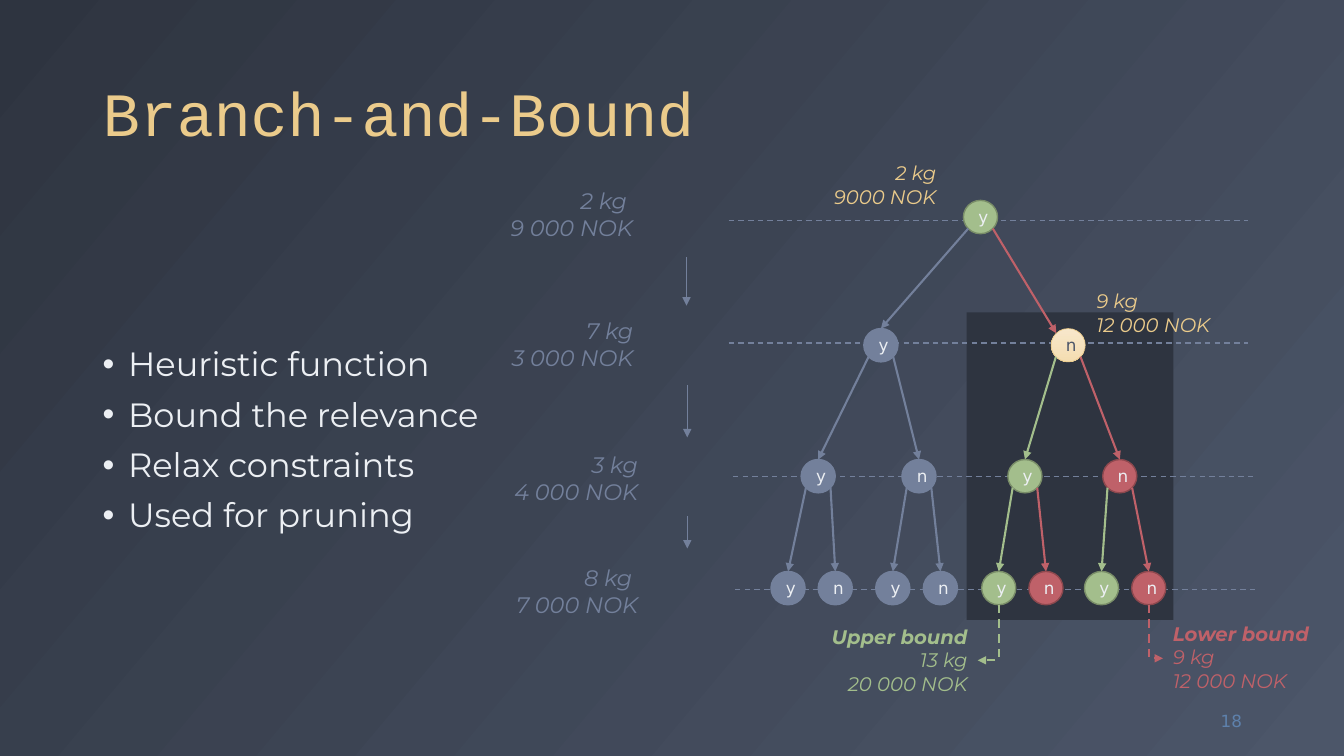
from dataclasses import dataclass

from lxml.etree import SubElement
from pptx import Presentation
from pptx.dml.color import RGBColor
from pptx.enum.dml import MSO_LINE_DASH_STYLE as Dash
from pptx.enum.shapes import MSO_CONNECTOR as Link, MSO_SHAPE as Shape
from pptx.enum.text import MSO_ANCHOR as Anchor, MSO_AUTO_SIZE as AutoSize, PP_ALIGN as Align
from pptx.oxml.ns import qn
from pptx.util import Cm, Pt


@dataclass(frozen=True)
class Theme:
    night: RGBColor = RGBColor.from_string("2E3440")
    dusk: RGBColor = RGBColor.from_string("4C5669")
    snow: RGBColor = RGBColor.from_string("ECEFF3")
    gold: RGBColor = RGBColor.from_string("EBCB8B")
    cream: RGBColor = RGBColor.from_string("F7E7CB")
    sand: RGBColor = RGBColor.from_string("F4DDB1")
    slate: RGBColor = RGBColor.from_string("73809B")
    green: RGBColor = RGBColor.from_string("A3BE8C")
    moss: RGBColor = RGBColor.from_string("798D68")
    red: RGBColor = RGBColor.from_string("BF6169")
    wine: RGBColor = RGBColor.from_string("8D484E")
    blue: RGBColor = RGBColor.from_string("5E81AC")
    title_size: Pt = Pt(44)
    bullet_size: Pt = Pt(24)
    item_size: Pt = Pt(16)
    bound_size: Pt = Pt(14)
    small_size: Pt = Pt(12)
    title_font: str = "Courier New"
    text_font: str = "Montserrat"
    node_font: str = "DejaVu Sans"


theme = Theme()


def write(frame, lines, size, color, font=theme.text_font, align=Align.LEFT, italic=False):
    frame.text = "\n".join(lines)
    for paragraph in frame.paragraphs:
        paragraph.alignment = align
        paragraph.font.size = size
        paragraph.font.name = font
        paragraph.font.italic = italic
        paragraph.font.color.rgb = color


def style_line(connector, color, width, dashed=False, arrow=False):
    connector.line.color.rgb = color
    connector.line.width = Pt(width)
    if dashed:
        connector.line.dash_style = Dash.DASH
    if arrow:
        SubElement(connector.line._get_or_add_ln(), qn("a:tailEnd"), type="triangle")
    SubElement(connector._element.spPr, qn("a:effectLst"))


deck = Presentation()
deck.slide_width, deck.slide_height = Cm(33.87), Cm(19.05)
slide = deck.slides.add_slide(deck.slide_layouts[5])
shapes = slide.shapes

backdrop = slide.background.fill
backdrop.gradient()
backdrop.gradient_angle = 320
for stop, color in zip(backdrop.gradient_stops, (theme.night, theme.dusk)):
    stop.color.rgb = color

title = shapes.title
title.left, title.top, title.width, title.height = Cm(2.34), Cm(0.46), Cm(29.21), Cm(3.45)
write(title.text_frame, ["Branch-and-Bound"], theme.title_size, theme.gold, theme.title_font)
title.text_frame.auto_size = AutoSize.NONE
title.text_frame.vertical_anchor = Anchor.BOTTOM
title.text_frame.paragraphs[0].line_spacing = 0.9

# Subtree that is being bounded
subtree = shapes.add_shape(Shape.RECTANGLE, Cm(24.36), Cm(7.87), Cm(5.21), Cm(7.75))
subtree.shadow.inherit = False
subtree.fill.solid()
subtree.fill.fore_color.rgb = theme.night
subtree.line.fill.background()

# Key points
points = shapes.add_textbox(Cm(2.34), Cm(5.08), Cm(10.69), Cm(12.09)).text_frame
points.word_wrap = True
points.vertical_anchor = Anchor.MIDDLE
point_lines = ["Heuristic function", "Bound the relevance", "Relax constraints", "Used for pruning"]
points.text = "\n".join(point_lines)
for paragraph in points.paragraphs:
    properties = paragraph._p.get_or_add_pPr()
    properties.set("marL", str(Cm(0.64)))
    properties.set("indent", str(-Cm(0.64)))
    SubElement(properties, qn("a:buFont"), typeface="Arial")
    SubElement(properties, qn("a:buChar"), char="•")
    paragraph.line_spacing = 0.9
    paragraph.font.size = theme.bullet_size
    paragraph.font.name = theme.text_font
    paragraph.font.color.rgb = theme.snow
for paragraph in points.paragraphs[1:]:
    paragraph.space_before = Pt(10)

page_number = shapes.add_textbox(Cm(29.44), Cm(17.65), Cm(2.11), Cm(1.02)).text_frame
page_number.vertical_anchor = Anchor.MIDDLE
write(page_number, ["18"], theme.small_size, theme.blue, theme.node_font, Align.RIGHT)

# Dashed line behind each tree level
for left, y in ((18.36, 5.56), (18.36, 8.64), (18.47, 12.01), (18.52, 14.86)):
    level_line = shapes.add_connector(Link.STRAIGHT, Cm(left), Cm(y), Cm(left + 13.1), Cm(y))
    style_line(level_line, theme.slate, 1, dashed=True)

# Tree nodes level by level: the children of node i are 2i + 1 (y) and 2i + 2 (n)
NODE_WIDTH, NODE_HEIGHT = 0.86, 0.84
outlines = {theme.slate: theme.slate, theme.green: theme.moss,
            theme.red: theme.wine, theme.cream: theme.gold}
levels = [
    (5.05, [(24.28, theme.green)]),
    (8.28, [(21.77, theme.slate), (26.49, theme.cream)]),
    (11.58, [(20.19, theme.slate), (22.73, theme.slate), (25.4, theme.green), (27.79, theme.red)]),
    (14.4, [(19.43, theme.slate), (20.62, theme.slate), (22.07, theme.slate), (23.27, theme.slate),
            (24.74, theme.green), (25.93, theme.red), (27.33, theme.green), (28.52, theme.red)]),
]
tree = [(left, top, color) for top, row in levels for left, color in row]
nodes = []
for index, (left, top, color) in enumerate(tree):
    node = shapes.add_shape(Shape.OVAL, Cm(left), Cm(top), Cm(NODE_WIDTH), Cm(NODE_HEIGHT))
    node.shadow.inherit = False
    is_bounded = color == theme.cream
    if is_bounded:
        node.fill.gradient()
        node.fill.gradient_angle = 270
        for stop, shade in zip(node.fill.gradient_stops, (theme.cream, theme.sand)):
            stop.color.rgb = shade
    else:
        node.fill.solid()
        node.fill.fore_color.rgb = color
    node.line.color.rgb = outlines[color]
    node.line.width = Pt(0.5 if is_bounded else 1)
    node.text_frame.vertical_anchor = Anchor.MIDDLE
    answer = "n" if index and index % 2 == 0 else "y"
    write(node.text_frame, [answer], theme.small_size,
          theme.dusk if is_bounded else theme.snow, theme.node_font, Align.CENTER)
    nodes.append(node)

for child in range(1, len(tree)):
    parent_left, parent_top, _ = tree[(child - 1) // 2]
    left, top, color = tree[child]
    start_x = parent_left + (0.12 if child % 2 else 0.74)
    edge = shapes.add_connector(Link.STRAIGHT, Cm(start_x), Cm(parent_top + 0.71),
                                Cm(left + 0.13), Cm(top + 0.12))
    if color == theme.cream:
        color = theme.red
    else:
        edge.end_connect(nodes[child], 0)
    style_line(edge, color, 1.5, arrow=True)

# Items in the order they are decided
for x, top, bottom in ((17.3, 6.48, 7.7), (17.32, 9.7, 11.02), (17.32, 13, 13.82)):
    step = shapes.add_connector(Link.STRAIGHT, Cm(x), Cm(top), Cm(x), Cm(bottom))
    style_line(step, theme.slate, 0.5, arrow=True)

labels = [
    (12.57, 4.6, 3.63, ["2 kg ", "9 000 NOK"], theme.item_size, theme.slate, Align.RIGHT),
    (12.6, 7.87, 3.61, ["7 kg", "3 000 NOK"], theme.item_size, theme.slate, Align.RIGHT),
    (12.65, 11.25, 3.68, ["3 kg", "4 000 NOK"], theme.item_size, theme.slate, Align.RIGHT),
    (12.7, 14.1, 3.63, ["8 kg ", "7 000 NOK"], theme.item_size, theme.slate, Align.RIGHT),
    (20.73, 3.94, 3.12, ["2 kg", "9000 NOK"], theme.bound_size, theme.gold, Align.RIGHT),
    (27.38, 7.16, 3.53, ["9 kg", "12 000 NOK"], theme.bound_size, theme.gold, Align.LEFT),
    (20.68, 15.62, 3.96, ["Upper bound", "13 kg", "20 000 NOK"],
     theme.bound_size, theme.green, Align.RIGHT),
    (29.31, 15.54, 3.99, ["Lower bound", "9 kg", "12 000 NOK"],
     theme.bound_size, theme.red, Align.LEFT),
]
for left, top, width, lines, size, color, align in labels:
    height = 2.06 if len(lines) == 3 else 1.63 if size == theme.item_size else 1.45
    label = shapes.add_textbox(Cm(left), Cm(top), Cm(width), Cm(height)).text_frame
    label.word_wrap = False
    label.auto_size = AutoSize.SHAPE_TO_FIT_TEXT
    write(label, lines, size, color, align=align, italic=True)
    if len(lines) == 3:
        label.paragraphs[0].font.bold = True

# Elbow arrows from the outer leaves to their bounds, turned to run down and then sideways
for leaf, drop, run, color in ((11, 1.4, -0.53, theme.green), (14, 1.35, 0.36, theme.red)):
    leaf_left, leaf_top, _ = tree[leaf]
    middle_x = leaf_left + NODE_WIDTH / 2 + run / 2
    middle_y = leaf_top + NODE_HEIGHT + drop / 2
    reach = drop / 2 if run < 0 else -drop / 2
    elbow = shapes.add_connector(Link.ELBOW, Cm(middle_x - reach), Cm(middle_y - abs(run) / 2),
                                 Cm(middle_x + reach), Cm(middle_y + abs(run) / 2))
    geometry = elbow._element.spPr
    geometry.find(qn("a:prstGeom")).set("prst", "bentConnector2")
    geometry.find(qn("a:xfrm")).set("rot", str((90 if run < 0 else 270) * 60000))
    style_line(elbow, color, 1.5, dashed=True, arrow=True)

deck.save("out.pptx")
